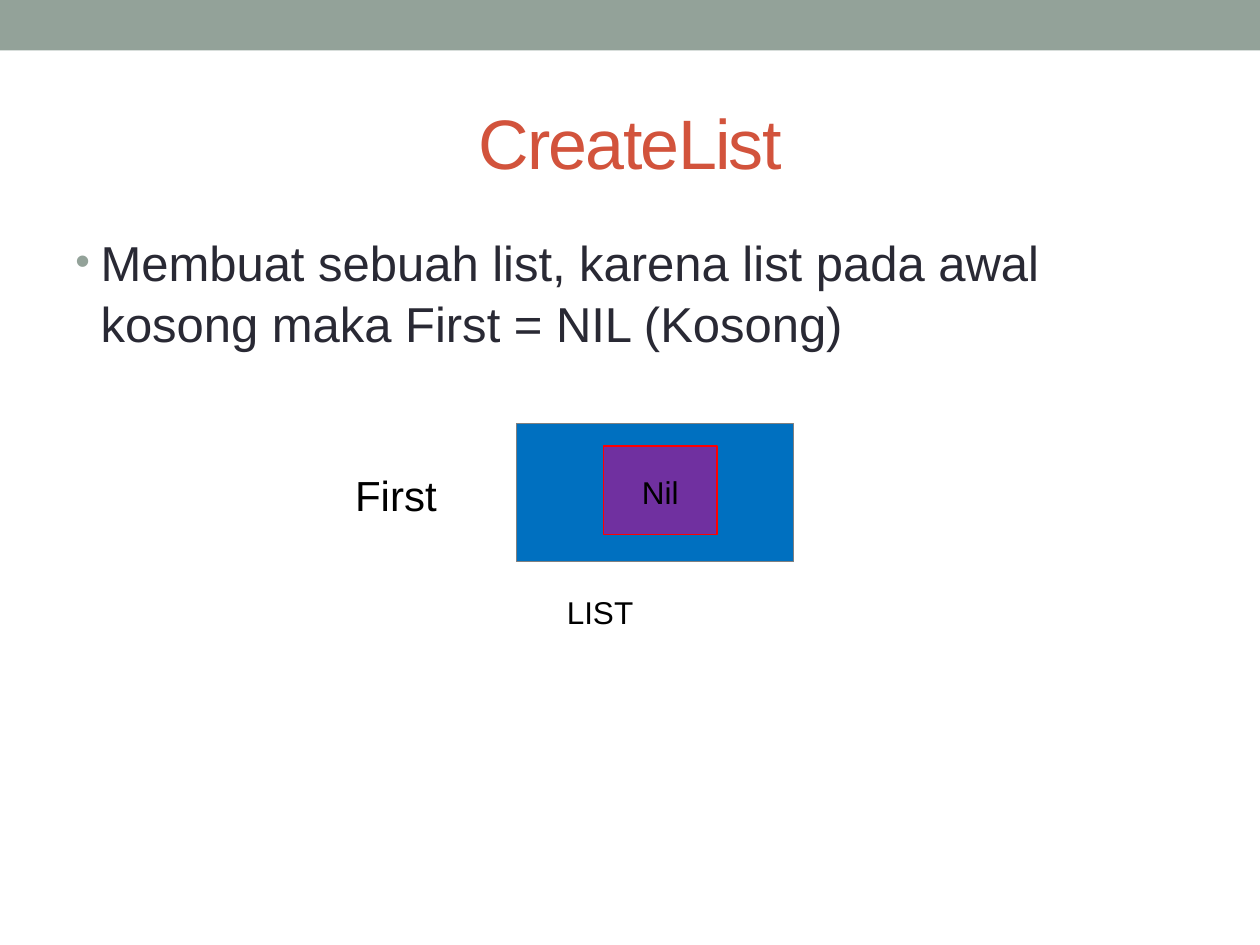
from lxml.etree import SubElement
from pptx import Presentation
from pptx.dml.color import RGBColor
from pptx.enum.shapes import MSO_SHAPE
from pptx.enum.text import MSO_ANCHOR, PP_ALIGN
from pptx.oxml.ns import qn
from pptx.util import Inches, Pt

TITLE = "CreateList"
BODY = "Membuat sebuah list, karena list pada awal kosong maka First = NIL (Kosong)"
BOXES = [
    ((0, 0, 10, 0.4), "93A299", None),
    ((4.1, 3.36, 2.2, 1.1), "0070C0", "808080"),
    ((4.79, 3.54, 0.9, 0.7), "7030A0", "FF0000"),
]
LABELS = [
    ("First", (2.72, 3.66, 1.16, 0.47), 24, 0.07),
    ("LIST", (4.4, 4.66, 1.5, 0.38), 18, 0.05),
]


def tint(code):
    return RGBColor.from_string(code)


def place(at):
    return [Inches(n) for n in at]


def write(shape, text, size, code="000000", align=PP_ALIGN.LEFT, **form):
    frame = shape.text_frame
    base = {
        "word_wrap": True,
        "vertical_anchor": MSO_ANCHOR.TOP,
        "margin_left": Inches(0.1),
        "margin_right": Inches(0.1),
        "margin_top": Inches(0.05),
        "margin_bottom": Inches(0.05),
    }
    for key, val in (base | form).items():
        setattr(frame, key, val)
    para = frame.paragraphs[0]
    para.alignment = align
    run = para.add_run()
    run.text = text
    for key, val in {"name": "Arial", "size": Pt(size)}.items():
        setattr(run.font, key, val)
    run.font.color.rgb = tint(code)
    return para


def draw(slide, at, fill, line):
    box = slide.shapes.add_shape(MSO_SHAPE.RECTANGLE, *place(at))
    box.shadow.inherit = False
    box.fill.solid()
    box.fill.fore_color.rgb = tint(fill)
    if line:
        box.line.color.rgb = tint(line)
        box.line.width = Pt(0.75)
    else:
        box.line.fill.background()
    return box


def bullet(para, code, size, char):
    props = para._p.get_or_add_pPr()
    props.set("marL", str(Inches(0.2)))
    props.set("indent", str(-Inches(0.2)))
    hue = SubElement(props, qn("a:buClr"))
    SubElement(hue, qn("a:srgbClr"), val=code)
    SubElement(props, qn("a:buSzPct"), val=str(size * 1000))
    SubElement(props, qn("a:buFont"), typeface="Arial")
    SubElement(props, qn("a:buChar"), char=char)


def main():
    deck = Presentation()
    deck.slide_width, deck.slide_height = Inches(10), Inches(7.5)
    slide = deck.slides.add_slide(deck.slide_layouts[5])

    title = slide.shapes.title
    spots = zip(("left", "top", "width", "height"), place((0.5, 0.58, 9, 1.08)))
    for key, val in spots:
        setattr(title, key, val)
    para = write(title, TITLE, 40, "D2533C", PP_ALIGN.CENTER,
                 vertical_anchor=MSO_ANCHOR.MIDDLE)
    para.runs[0].font._element.set("spc", "-100")

    body = slide.shapes.add_textbox(*place((0.5, 1.77, 9, 5.31)))
    para = write(body, BODY, 28, "292934")
    para.line_spacing = 1.05
    bullet(para, "93A299", 85, "•")

    band, outer, inner = [draw(slide, *box) for box in BOXES]
    write(inner, "Nil", 18, align=PP_ALIGN.CENTER, word_wrap=False,
          vertical_anchor=MSO_ANCHOR.MIDDLE, margin_top=Inches(0.07))

    for text, at, size, top in LABELS:
        label = slide.shapes.add_textbox(*place(at))
        write(label, text, size, margin_top=Inches(top))

    deck.save("out.pptx")


if __name__ == "__main__":
    main()
